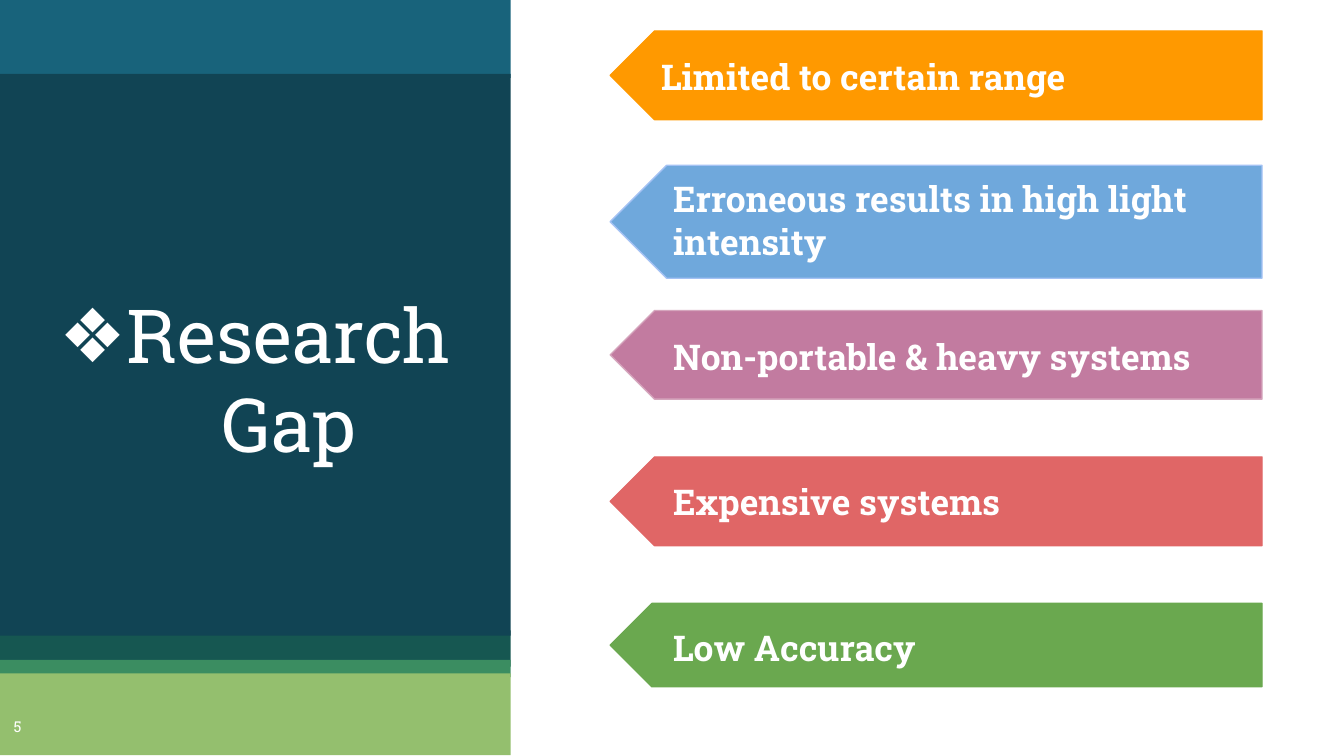
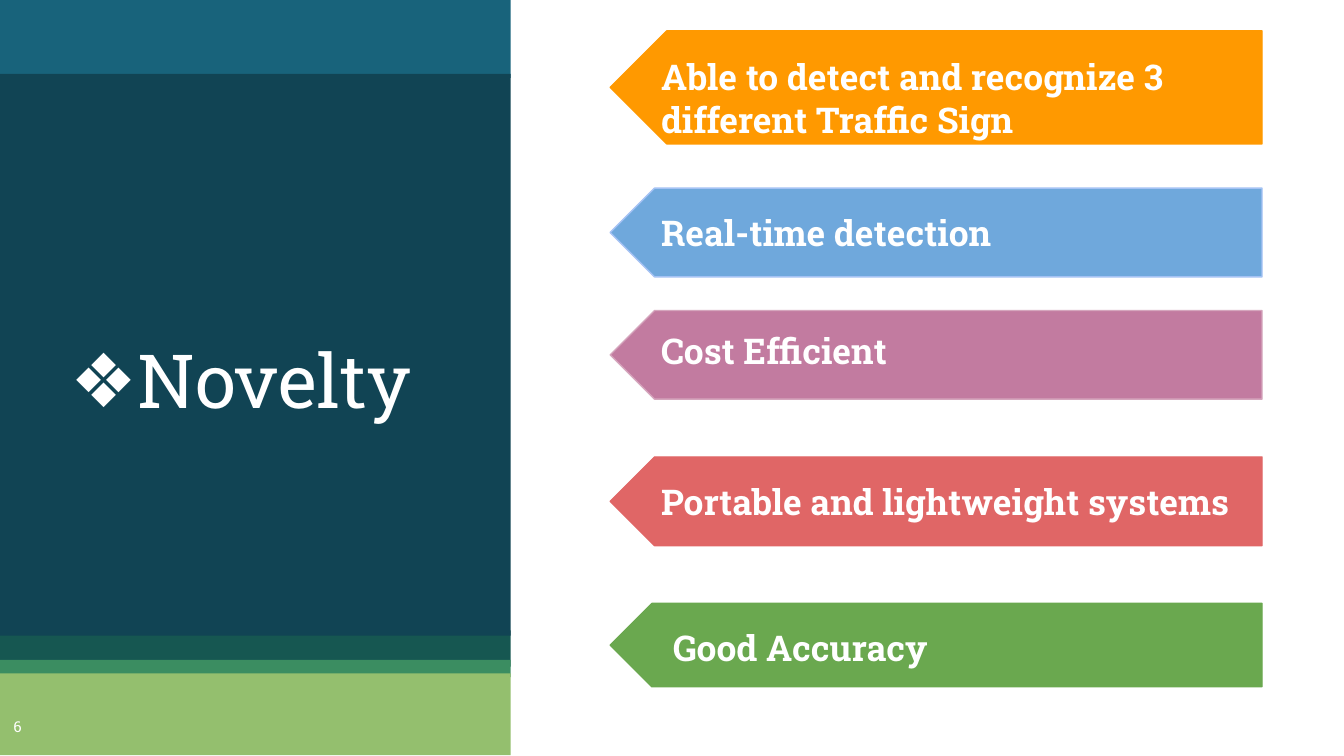
from dataclasses import dataclass

from lxml import etree
from pptx import Presentation
from pptx import util as u
from pptx.dml.color import RGBColor
from pptx.enum import shapes, text
from pptx.oxml.ns import qn


@dataclass(frozen=True)
class Theme:
    font: str = "Roboto Slab"
    white: str = "FFFFFF"
    title_size: int = 40
    label_size: int = 19
    number_size: int = 8
    panel_width: float = 3.8
    bands: tuple = (
        (4.69, 0.27, "165751"),
        (0, 0.58, "18637B"),
        (0.55, 4.18, "114454"),
        (4.91, 0.13, "3B8D61"),
        (5.01, 0.61, "94BF6E"),
    )
    arrows: tuple = (
        ("FF9900", "FF9900"),
        ("6FA8DC", "A4C2F4"),
        ("C27BA0", "D5A6BD"),
        ("E06666", "E06666"),
        ("6AA84F", "6AA84F"),
    )


class Deck:
    def __init__(self, theme):
        self.theme = theme
        self.presentation = Presentation()
        self.presentation.slide_width = u.Inches(10)
        self.presentation.slide_height = u.Inches(10 * 9 / 16)
        self.slide = None

    def add_slide(self, number):
        self.slide = self.presentation.slides.add_slide(self.presentation.slide_layouts[6])
        for top, height, color in self.theme.bands:
            self.shape(shapes.MSO_SHAPE.RECTANGLE, 0, top, self.theme.panel_width, height, color)
        self.text(str(number), -0.06, 5.27, 0.38, 0.35, self.theme.number_size,
                  align=text.PP_ALIGN.CENTER)

    def shape(self, kind, left, top, width, height, fill, line=None):
        shape = self.slide.shapes.add_shape(
            kind, u.Inches(left), u.Inches(top), u.Inches(width), u.Inches(height))
        shape.shadow.inherit = False
        shape.fill.solid()
        shape.fill.fore_color.rgb = RGBColor.from_string(fill)
        if line:
            shape.line.color.rgb = RGBColor.from_string(line)
            shape.line.width = u.Pt(0.75)
        else:
            shape.line.fill.background()
        return shape

    def text(self, words, left, top, width, height, size, bold=False,
             align=text.PP_ALIGN.LEFT, anchor=text.MSO_ANCHOR.TOP, grow=False):
        box = self.slide.shapes.add_textbox(
            u.Inches(left), u.Inches(top), u.Inches(width), u.Inches(height))
        frame = box.text_frame
        frame.word_wrap = True
        frame.vertical_anchor = anchor
        frame.margin_left = frame.margin_right = u.Inches(0.1)
        frame.margin_top = frame.margin_bottom = u.Inches(0.1)
        if grow:
            frame.auto_size = text.MSO_AUTO_SIZE.SHAPE_TO_FIT_TEXT
        paragraph = frame.paragraphs[0]
        paragraph.text = words
        paragraph.alignment = align
        paragraph.font.name = self.theme.font
        paragraph.font.size = u.Pt(size)
        paragraph.font.bold = bold
        paragraph.font.color.rgb = RGBColor.from_string(self.theme.white)
        return paragraph

    def title(self, words, width):
        paragraph = self.text(words, 0.21, 1.61, width, 2.41, self.theme.title_size,
                              align=text.PP_ALIGN.CENTER, anchor=text.MSO_ANCHOR.MIDDLE)
        properties = paragraph._p.get_or_add_pPr()
        properties.set("marL", str(u.Inches(0.5)))
        properties.set("indent", str(u.Inches(-0.5)))
        bullet_color = etree.Element(qn("a:buClr"))
        etree.SubElement(bullet_color, qn("a:srgbClr"), val=self.theme.white)
        bullet_size = etree.Element(qn("a:buSzPct"), val="100000")
        bullet_font = etree.Element(qn("a:buFont"), typeface=self.theme.font)
        bullet = etree.Element(qn("a:buChar"), char="❖")
        for index, element in enumerate((bullet_color, bullet_size, bullet_font, bullet)):
            properties.insert(index, element)

    def arrow(self, top, height, colors):
        arrow = self.shape(shapes.MSO_SHAPE.PENTAGON, 4.54, top, 4.85, height, *colors)
        arrow.adjustments[0] = 0.5
        arrow.rotation = 180

    def label(self, words, left, top, width, height):
        self.text(words, left, top, width, height, self.theme.label_size, bold=True, grow=True)

    def points(self, rows):
        for (top, height, *_), colors in zip(rows, self.theme.arrows):
            self.arrow(top, height, colors)
        for _, _, words, *place in rows:
            self.label(words, *place)


ONE_LINE, TWO_LINES = 0.52, 0.84

SLIDES = (
    (5, "Research Gap", 3.38, (
        (0.23, 0.66, "Limited to certain range", 4.82, 0.31, 4.42, ONE_LINE),
        (1.23, 0.84, "Erroneous results in high light intensity", 4.91, 1.22, 4.42, TWO_LINES),
        (2.31, 0.66, "Non-portable & heavy systems", 4.91, 2.39, 4.42, ONE_LINE),
        (3.4, 0.66, "Expensive systems", 4.91, 3.47, 3, ONE_LINE),
        (4.49, 0.62, "Low Accuracy", 4.91, 4.56, 3, ONE_LINE),
    )),
    (6, "Novelty", 3.16, (
        (0.23, 0.84, "Able to detect and recognize 3 different Traffic Sign",
         4.82, 0.31, 4.42, TWO_LINES),
        (1.4, 0.66, "Real-time detection", 4.82, 1.47, 4.42, ONE_LINE),
        (2.31, 0.66, "Cost Efficient", 4.82, 2.35, 4.42, ONE_LINE),
        (3.4, 0.66, "Portable and lightweight systems", 4.82, 3.47, 4.62, ONE_LINE),
        (4.49, 0.62, "Good Accuracy", 4.91, 4.56, 3, ONE_LINE),
    )),
)

deck = Deck(Theme())
for number, heading, heading_width, rows in SLIDES:
    deck.add_slide(number)
    deck.title(heading, heading_width)
    deck.points(rows)
deck.presentation.save("out.pptx")
